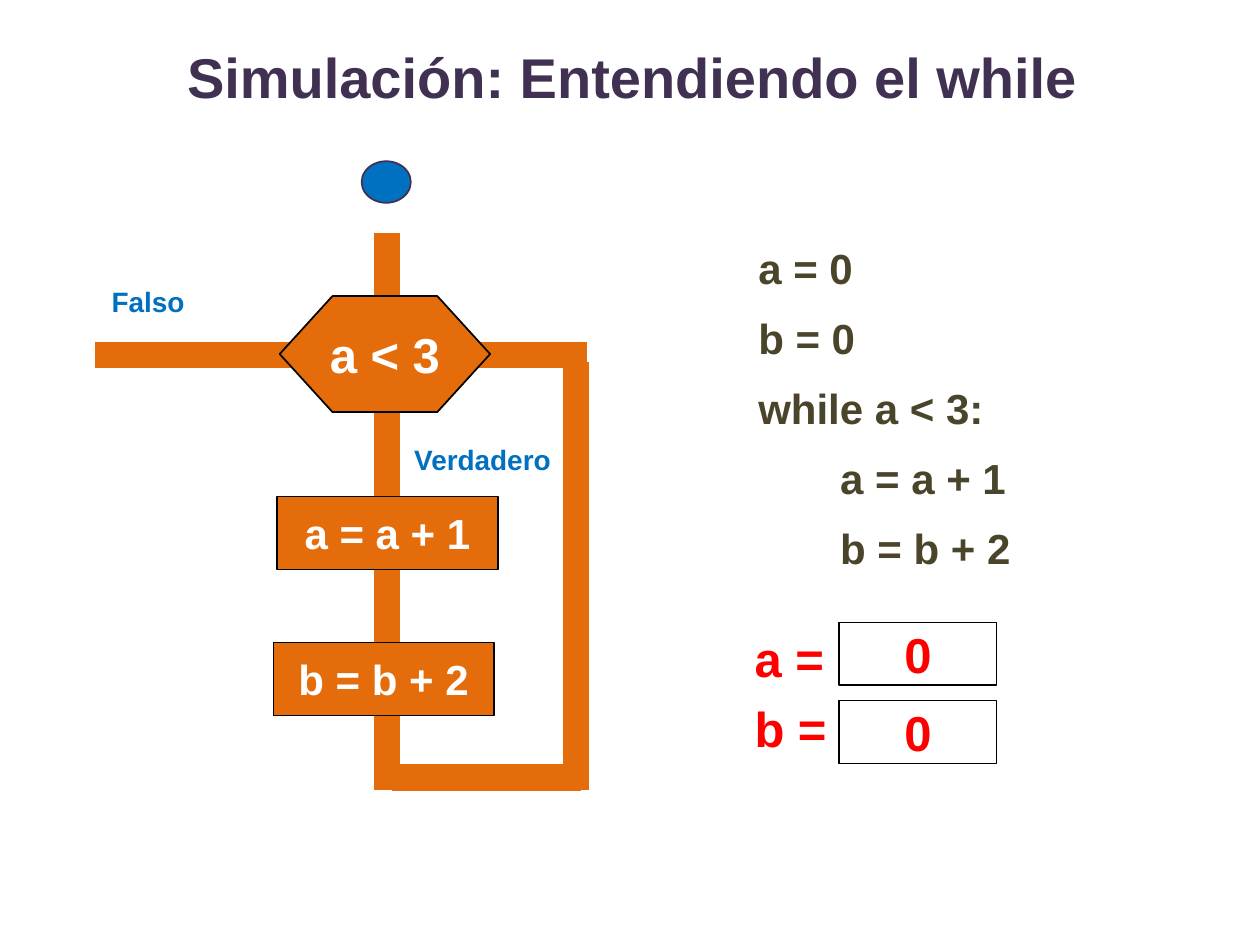
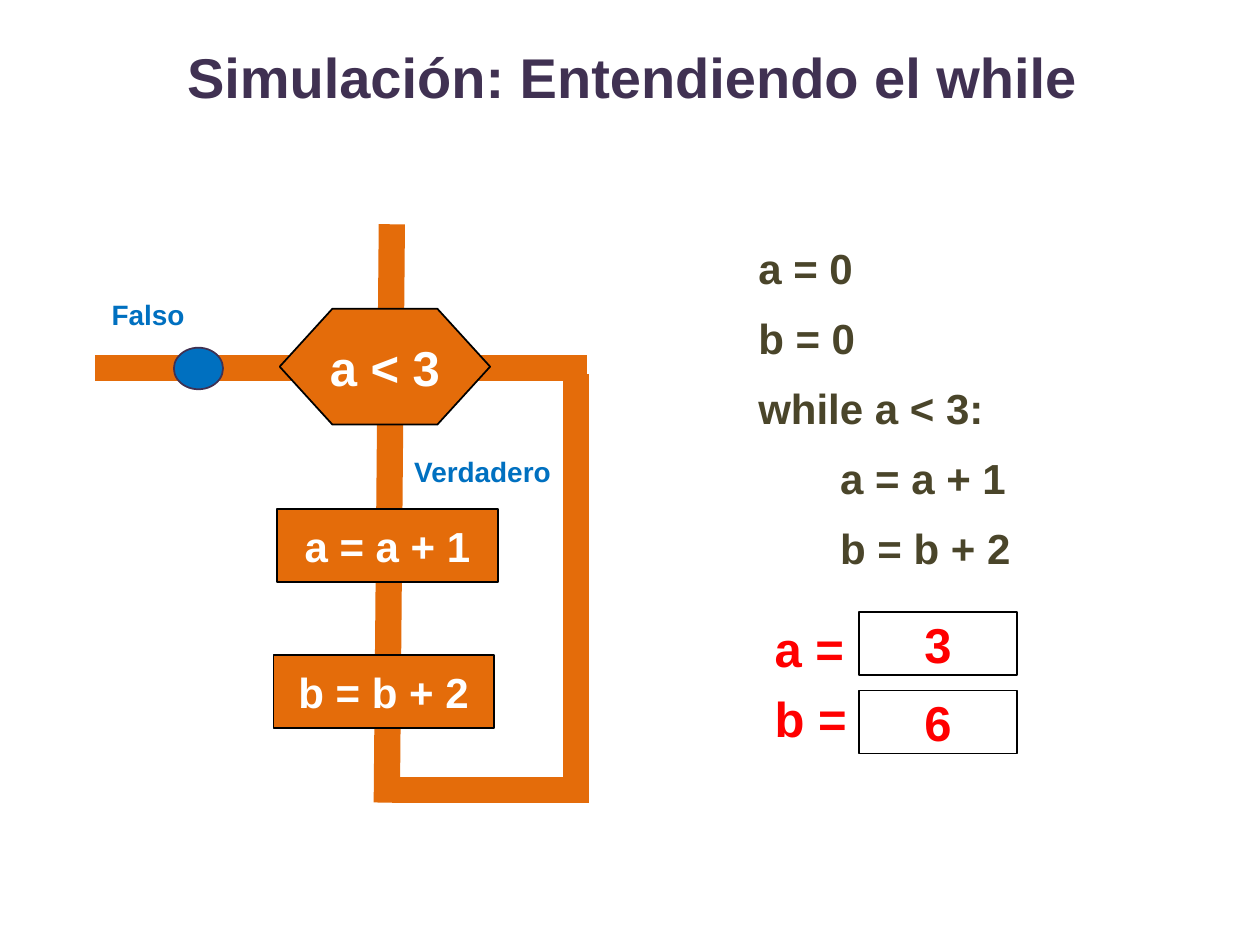
"""Two slides that trace a while loop with a flow chart and its code."""
import pptx
import pptx.dml.color
import pptx.enum.shapes
import pptx.enum.text
import pptx.oxml
import pptx.oxml.ns
import pptx.util

Inches = pptx.util.Inches
Pt = pptx.util.Pt
RGBColor = pptx.dml.color.RGBColor
Shape = pptx.enum.shapes.MSO_SHAPE
Align = pptx.enum.text.PP_ALIGN
Anchor = pptx.enum.text.MSO_ANCHOR

ORANGE = RGBColor(0xE4, 0x6C, 0x0A)
BLUE = RGBColor(0x00, 0x70, 0xC0)
PURPLE = RGBColor(0x40, 0x31, 0x52)
OLIVE = RGBColor(0x4A, 0x45, 0x2A)
RED = RGBColor(0xFF, 0x00, 0x00)
BLACK = RGBColor(0x00, 0x00, 0x00)
WHITE = RGBColor(0xFF, 0xFF, 0xFF)

CODE = ["a = 0", "b = 0", "while a < 3:", "\ta = a + 1", "\tb = b + 2"]
INDENT = Inches(0.65)


def write(shape, lines, size, color, align=Align.CENTER, anchor=Anchor.TOP,
          wrap=False, space=None):
    frame = shape.text_frame
    frame.word_wrap = wrap
    frame.vertical_anchor = anchor
    for i, line in enumerate(lines):
        para = frame.paragraphs[0] if i == 0 else frame.add_paragraph()
        para.text = line.lstrip("\t")
        if line.startswith("\t"):
            para._p.get_or_add_pPr().set("marL", str(INDENT))
        para.alignment = align
        para.line_spacing = space
        para.font.name = "Arial"
        para.font.size = Pt(size)
        para.font.bold = True
        para.font.color.rgb = color


def draw(slide, kind, box, fill=None, edge=BLACK):
    shape = slide.shapes.add_shape(kind, *map(Inches, box))
    shape.shadow.inherit = False
    if fill is None:
        shape.fill.background()
    else:
        shape.fill.solid()
        shape.fill.fore_color.rgb = fill
    shape.line.color.rgb = edge
    shape.line.width = Pt(1)
    return shape


deck = pptx.Presentation()
deck.slide_width = Inches(10)
deck.slide_height = Inches(7.5)

# drop, stem top, ball place, state place, values
STEPS = [
    (0, (3.07, 1.85), (2.87, 1.28), (5.89, 4.85), "00"),
    (0.1, (3.11, 1.78), (1.38, 2.76), (6.05, 4.77), "36"),
]

for drop, stem, ball, state, values in STEPS:
    slide = deck.slides.add_slide(deck.slide_layouts[6])

    title = slide.shapes.add_textbox(Inches(1.22), Inches(-0.02), Inches(7.6), Inches(1.25))
    write(title, ["Simulación: Entendiendo el while"], 32, PURPLE,
          anchor=Anchor.MIDDLE, wrap=True)

    tracks = [
        ((3.07, 6.27 + drop), stem),
        ((3.11, 6.17 + drop), (4.61, 6.17 + drop)),
        ((4.57, 6.27 + drop), (4.57, 2.87 + drop)),
        ((4.66, 2.82 + drop), (0.75, 2.82 + drop)),
    ]
    for start, end in tracks:
        track = slide.shapes.add_connector(
            pptx.enum.shapes.MSO_CONNECTOR.STRAIGHT, *map(Inches, start + end))
        track.line.color.rgb = ORANGE
        track.line.width = Pt(15)
        track._element.spPr.append(pptx.oxml.parse_xml(
            f"<a:effectLst {pptx.oxml.ns.nsdecls('a')}/>"))

    for word, left, top, width in [("Falso", 0.78, 2.21, 0.79), ("Verdadero", 3.18, 3.46, 1.3)]:
        label = slide.shapes.add_textbox(
            Inches(left), Inches(top + drop), Inches(width), Inches(0.37))
        write(label, [word], 16, BLUE)

    test = draw(slide, Shape.HEXAGON, (2.22, 2.35 + drop, 1.67, 0.92), ORANGE)
    test.adjustments[0] = 0.455
    write(test, ["a < 3"], 28, WHITE, anchor=Anchor.MIDDLE)
    for text, left, top in [("a = a + 1", 2.2, 3.94), ("b = b + 2", 2.17, 5.1)]:
        block = draw(slide, Shape.RECTANGLE, (left, top + drop, 1.75, 0.58), ORANGE)
        write(block, [text], 24, WHITE, anchor=Anchor.MIDDLE)

    draw(slide, Shape.OVAL, ball + (0.39, 0.33), BLUE, PURPLE)

    code = slide.shapes.add_textbox(Inches(5.92), Inches(1.72), Inches(2.87), Inches(3.4))
    write(code, CODE, 24, OLIVE, Align.LEFT, wrap=True, space=Pt(40))

    left, top = state
    names = slide.shapes.add_textbox(Inches(left), Inches(top), Inches(0.83), Inches(1.22))
    write(names, ["a =", "b ="], 28, RED, Align.LEFT, wrap=True, space=Pt(40))
    for row, value in enumerate(values):
        cell = draw(slide, Shape.RECTANGLE, (left + 0.77, top + 0.09 + row * 0.62, 1.25, 0.5))
        write(cell, [value], 28, RED, anchor=Anchor.MIDDLE)

deck.save("out.pptx")
